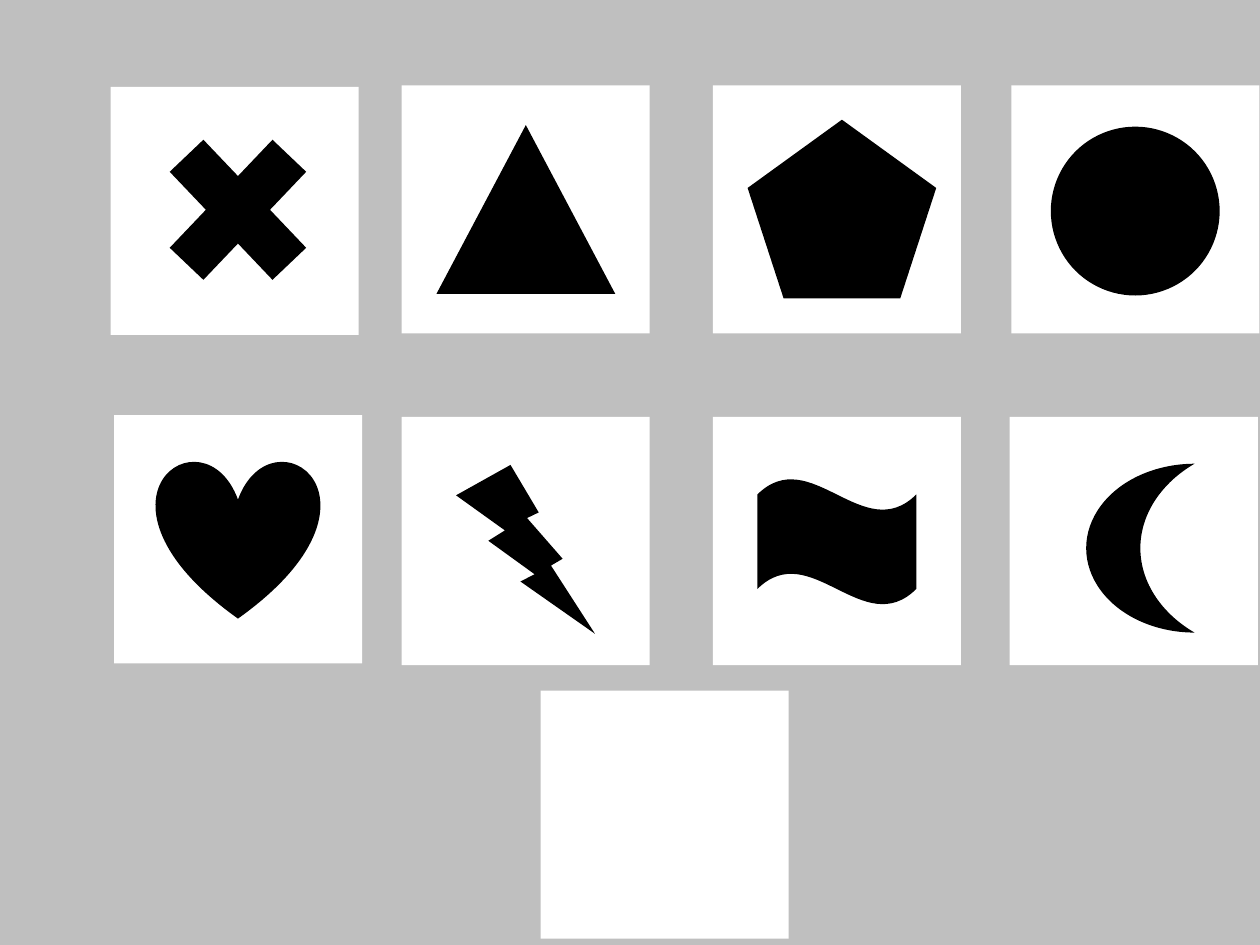
import pptx
import pptx.util
import pptx.dml.color
import pptx.enum.shapes
from dataclasses import dataclass

Pt = pptx.util.Pt
MSO = pptx.enum.shapes.MSO_SHAPE


@dataclass(frozen=True)
class Theme:
    backdrop: str = "BFBFBF"
    card: str = "FFFFFF"
    symbol: str = "000000"


theme = Theme()
SLIDE = (720, 540)
BACKDROP = (734.4, 547.9)
CARD = 141.8

CARDS = [
    ((63.2, 49.7), MSO.MATH_MULTIPLY, (79.5, 60.5, 113, 118.8)),
    ((229.5, 48.8), MSO.ISOSCELES_TRIANGLE, (249.4, 71.5, 102.2, 96.5)),
    ((407.4, 48.8), MSO.REGULAR_PENTAGON, (427.2, 68.4, 107.8, 102.2)),
    ((577.9, 48.8), MSO.OVAL, (600.5, 72.4, 96.5, 96.5)),
    ((65.2, 237.3), MSO.HEART, (89.2, 262.8, 93.6, 90.7)),
    ((229.5, 238.3), MSO.LIGHTNING_BOLT, (260.6, 265.7, 79.4, 96.5)),
    ((407.4, 238.3), MSO.WAVE, (432.8, 273.6, 90.8, 72)),
    ((577, 238.3), MSO.MOON, (620.7, 265, 61.9, 96.5)),
    ((308.9, 394.7), None, None),
]


def add_filled(shapes, kind, box, color):
    sp = shapes.add_shape(kind, *map(Pt, box))
    sp.shadow.inherit = False
    sp.fill.solid()
    sp.fill.fore_color.rgb = pptx.dml.color.RGBColor.from_string(color)
    sp.line.fill.background()


prs = pptx.Presentation()
prs.slide_width, prs.slide_height = map(Pt, SLIDE)
s = prs.slides.add_slide(prs.slide_layouts[6])

add_filled(s.shapes, MSO.RECTANGLE, (0, 0, *BACKDROP), theme.backdrop)
for corner, symbol, box in CARDS:
    shapes = s.shapes.add_group_shape().shapes if symbol else s.shapes
    add_filled(shapes, MSO.RECTANGLE, (*corner, CARD, CARD), theme.card)
    if symbol:
        add_filled(shapes, symbol, box, theme.symbol)

prs.save("out.pptx")
